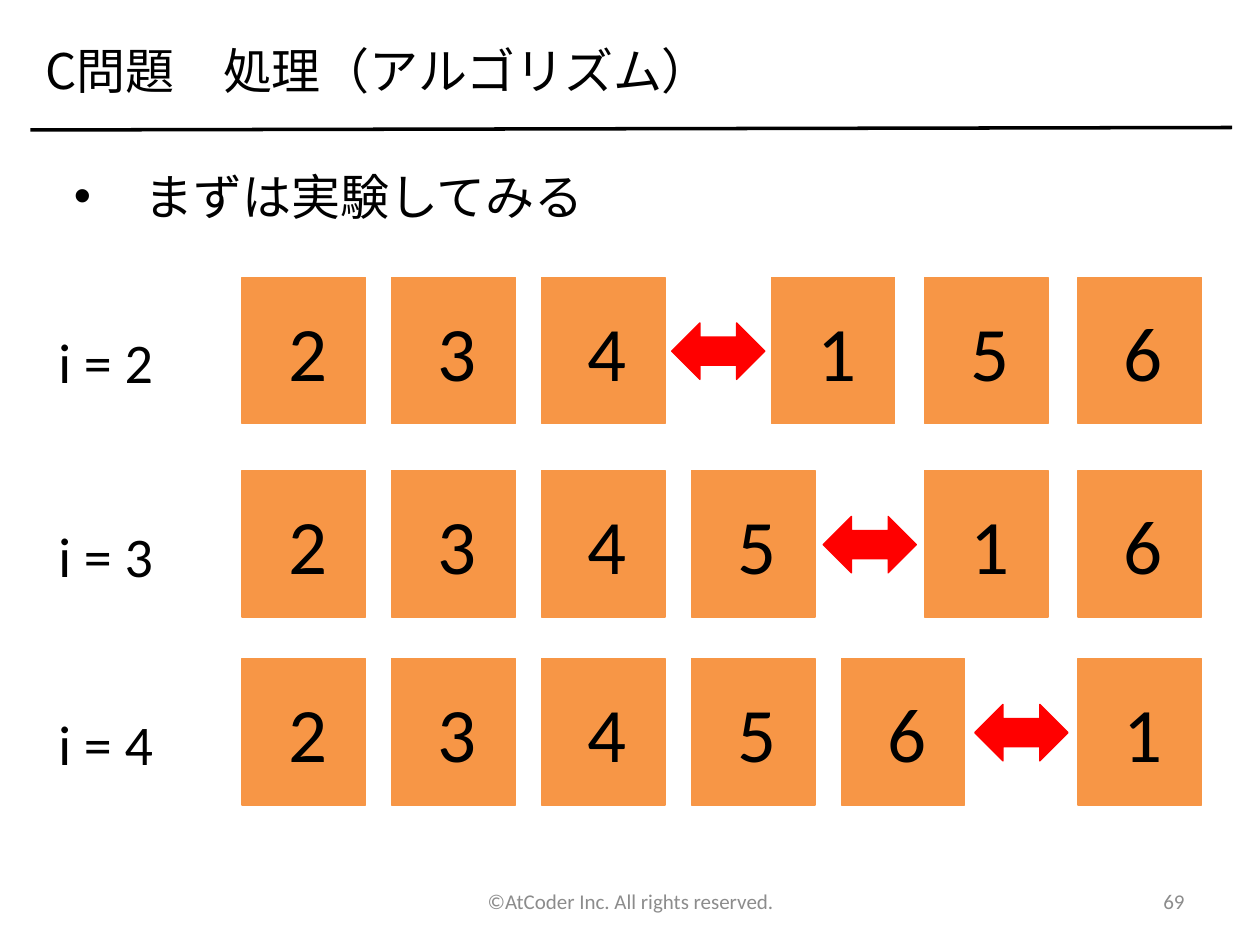
from lxml import etree
from pptx import Presentation
from pptx import util as u
from pptx.dml.color import RGBColor
from pptx.enum import shapes, text
from pptx.oxml.ns import qn

TITLE = "C問題\u3000処理（アルゴリズム）"
BULLET = "まずは実験してみる"
COPYRIGHT = "©AtCoder Inc. All rights reserved."
PAGE_NUMBER = "69"
# label, top in cm, values before the swap arrow, values after it
ROWS = [
    ("i = 2", 5.59, [2, 3, 4], [1, 5, 6]),
    ("i = 3", 9.49, [2, 3, 4, 5], [1, 6]),
    ("i = 4", 13.28, [2, 3, 4, 5, 6], [1]),
]
LATIN, JAPANESE = "Calibri", "Noto Sans CJK JP"
BLACK, GREY, ORANGE, RED = "000000", "8C8C8C", "F79646", "FF0000"

CELL_WIDTH, CELL_HEIGHT = 2.49, 2.95
FIRST_LEFT, LEFT_PITCH = 4.88, 3.02
LAST_LEFT, RIGHT_PITCH = 21.73, 3.09
ARROW_WIDTH, ARROW_HEIGHT = 1.88, 1.14
ARROW_DROP, LABEL_DROP = 0.92, 0.89

presentation = Presentation()
presentation.slide_width, presentation.slide_height = u.Cm(25.4), u.Cm(19.05)
slide = presentation.slides.add_slide(presentation.slide_layouts[6])


def color(hex_string):
    return RGBColor.from_string(hex_string)


def style(paragraph, size, font=LATIN, hex_string=BLACK):
    paragraph.font.size = u.Pt(size)
    paragraph.font.name = font
    paragraph.font.color.rgb = color(hex_string)
    if font == JAPANESE:
        for run in paragraph.runs:
            properties = run._r.get_or_add_rPr()
            for tag in ("a:latin", "a:ea"):
                etree.SubElement(properties, qn(tag), typeface=font)


def add_text(content, left, top, width, height, size, font=LATIN,
             hex_string=BLACK, align=text.PP_ALIGN.LEFT,
             anchor=text.MSO_ANCHOR.TOP, wrap=False):
    box = slide.shapes.add_textbox(*map(u.Cm, (left, top, width, height)))
    frame = box.text_frame
    frame.word_wrap = wrap
    frame.vertical_anchor = anchor
    paragraph = frame.paragraphs[0]
    paragraph.text = content
    paragraph.alignment = align
    style(paragraph, size, font, hex_string)
    return paragraph


def add_solid(kind, left, top, width, height, hex_string):
    shape = slide.shapes.add_shape(kind, *map(u.Cm, (left, top, width, height)))
    shape.shadow.inherit = False
    shape.fill.solid()
    shape.fill.fore_color.rgb = color(hex_string)
    shape.line.color.rgb = color(hex_string)
    shape.line.width = u.Pt(0.75)
    return shape


def add_cell(value, left, top):
    cell = add_solid(shapes.MSO_SHAPE.RECTANGLE, left, top,
                     CELL_WIDTH, CELL_HEIGHT, ORANGE)
    frame = cell.text_frame
    frame.margin_left, frame.margin_right = u.Cm(0.15), 0
    frame.vertical_anchor = text.MSO_ANCHOR.MIDDLE
    paragraph = frame.paragraphs[0]
    paragraph.text = str(value)
    paragraph.alignment = text.PP_ALIGN.CENTER
    style(paragraph, 44)


def add_row(label, top, before, after):
    add_text(label, 0.93, top + LABEL_DROP, 2.44, 1.62, 32)
    before_lefts = [FIRST_LEFT + i * LEFT_PITCH for i in range(len(before))]
    after_lefts = [LAST_LEFT - i * RIGHT_PITCH for i in reversed(range(len(after)))]
    for value, left in zip(before + after, before_lefts + after_lefts):
        add_cell(value, left, top)
    gap_center = (before_lefts[-1] + CELL_WIDTH + after_lefts[0]) / 2
    add_solid(shapes.MSO_SHAPE.LEFT_RIGHT_ARROW, gap_center - ARROW_WIDTH / 2,
              top + ARROW_DROP, ARROW_WIDTH, ARROW_HEIGHT, RED)


add_text(TITLE, 0.66, 0.69, 14.17, 1.45, 28, JAPANESE)

rule = slide.shapes.add_connector(shapes.MSO_CONNECTOR.STRAIGHT,
                                  *map(u.Cm, (0.61, 2.62, 24.84, 2.57)))
rule.line.color.rgb = color(BLACK)
rule.line.width = u.Pt(2)
etree.SubElement(rule._element.spPr, qn("a:effectLst"))

bullet = add_text(BULLET, 1.24, 2.64, 22.99, 1.96, 28, JAPANESE, wrap=True)
bullet.line_spacing = 1.5
indent = bullet._p.get_or_add_pPr()
indent.set("marL", str(u.Cm(1.43)))
indent.set("indent", str(u.Cm(-1.43)))
marker_font = etree.Element(qn("a:buFont"), typeface="Arial")
marker = etree.Element(qn("a:buChar"), char="•")
indent.find(qn("a:lnSpc")).addnext(marker_font)
marker_font.addnext(marker)

for row in ROWS:
    add_row(*row)

for content, left, width, align in [
    (COPYRIGHT, 8.69, 8.05, text.PP_ALIGN.CENTER),
    (PAGE_NUMBER, 18.2, 5.93, text.PP_ALIGN.RIGHT),
]:
    add_text(content, left, 17.66, width, 1.01, 12, hex_string=GREY, align=align,
             anchor=text.MSO_ANCHOR.MIDDLE, wrap=True)

presentation.save("out.pptx")
